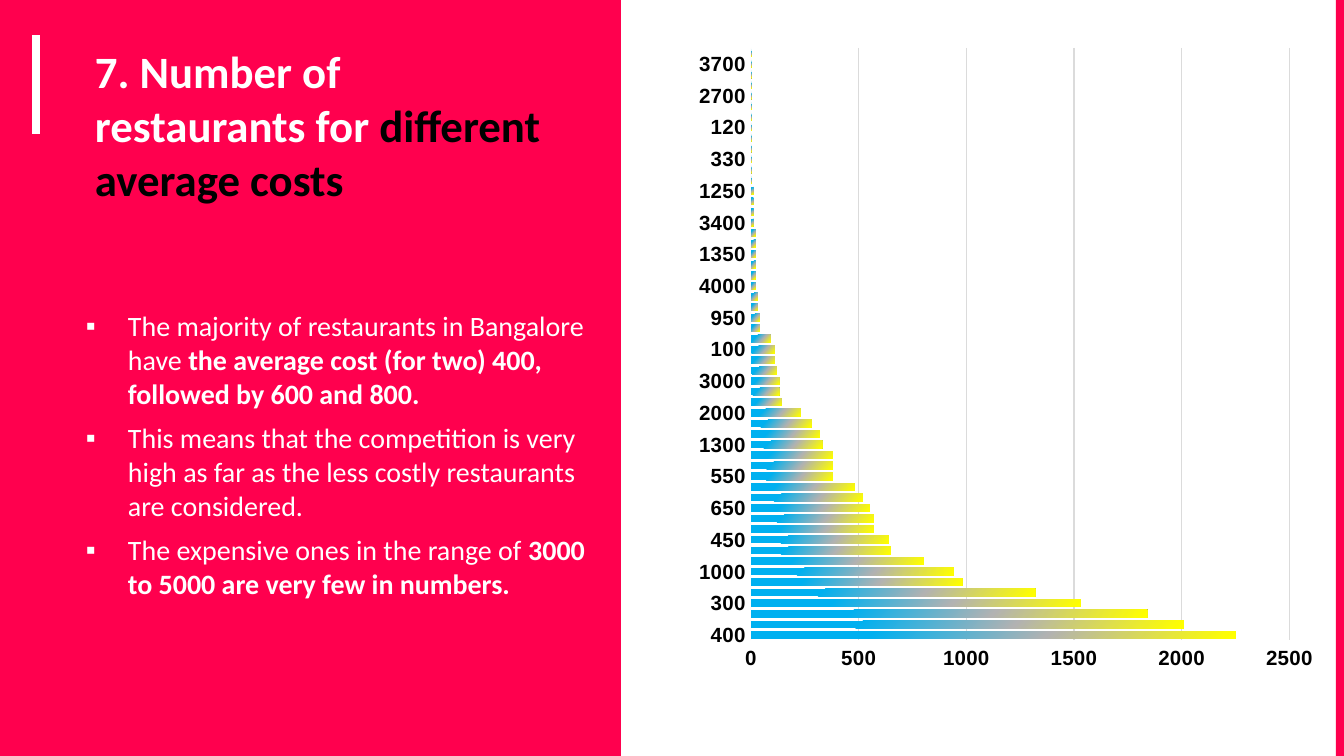
from copy import deepcopy

from lxml.etree import SubElement
from pptx import Presentation
from pptx.chart.data import CategoryChartData
from pptx.dml.color import RGBColor
from pptx.enum.chart import XL_CHART_TYPE, XL_TICK_MARK
from pptx.enum.shapes import MSO_SHAPE
from pptx.oxml import parse_xml
from pptx.oxml.ns import nsdecls, qn
from pptx.util import Emu, Pt

PIXEL = 6804  # EMU, for a slide 1344 px wide
WIDTH, HEIGHT = 1344, 756

RED = RGBColor(0xFF, 0x00, 0x4E)
WHITE = RGBColor(0xFF, 0xFF, 0xFF)
BLACK = RGBColor(0x00, 0x00, 0x00)
GRID_GRAY = RGBColor(0xDB, 0xDB, 0xDB)
AXIS_GRAY = RGBColor(0xFD, 0xFD, 0xFD)
BAR_GRADIENT = [
    (0.25, RGBColor(0x00, 0xB0, 0xF0)),
    (0.61, RGBColor(0xB2, 0xB2, 0xB2)),
    (0.99, RGBColor(0xFF, 0xFF, 0x00)),
]

COSTS = [
    400, 500, 600, 300, 800, 700, 1000, 200, 250, 450, 750, 1200, 650, 1500,
    350, 550, 900, 1100, 1300, 150, 1400, 2000, 1700, 1800, 3000, 1600, 850,
    100, 2500, 2100, 950, 1900, 2200, 4000, 3500, 2800, 1350, 180, 2400, 3400,
    230, 40, 1250, 4100, 1450, 330, 1050, 4500, 120, 6000, 3200, 2700, 5000,
    1650, 3700, 2300,
]
RESTAURANTS = [
    2250, 2010, 1840, 1530, 1320, 980, 940, 800, 650, 640, 570, 570, 550, 520,
    480, 380, 380, 380, 330, 320, 280, 230, 140, 130, 130, 120, 110, 110, 90,
    40, 40, 30, 30,
] + [20] * 6 + [10] * 4 + [0] * 13

TITLE = [
    ("7. Number of restaurants for ", {}),
    ("different average costs", {"color": BLACK}),
]
FINDINGS = [
    [
        ("The majority of restaurants in Bangalore have ", {}),
        ("the average cost (for two) 400, followed by 600 and 800.", {"bold": True}),
    ],
    [
        ("This means that the competition is very high as far as the less "
         "costly restaurants are considered.", {}),
    ],
    [
        ("The expensive ones in the range of ", {}),
        ("3000 to 5000 are very few in numbers.", {"bold": True}),
    ],
]


def px(length):
    return Emu(length * PIXEL)


def add_run(paragraph, text, *, size, color=WHITE, bold=False, font="Calibri"):
    run = paragraph.add_run()
    run.text = text
    run.font.size = Pt(size)
    run.font.name = font
    run.font.bold = bold
    run.font.color.rgb = color


def add_bullet(paragraph, indent):
    properties = paragraph._p.get_or_add_pPr()
    properties.set("marL", str(px(indent)))
    properties.set("indent", str(-px(indent)))
    color = SubElement(properties, qn("a:buClr"))
    SubElement(color, qn("a:srgbClr"), val=str(WHITE))
    SubElement(properties, qn("a:buFont"), typeface="Arial")
    SubElement(properties, qn("a:buChar"), char="▪")


class SlideBuilder:
    inset = 13
    bullet_indent = 42
    axis_font = "Arial"
    axis_size = 11

    def __init__(self, slide):
        self.slide = slide

    def rectangle(self, left, top, width, height, color):
        shape = self.slide.shapes.add_shape(
            MSO_SHAPE.RECTANGLE, px(left), px(top), px(width), px(height))
        shape.shadow.inherit = False
        shape.fill.solid()
        shape.fill.fore_color.rgb = color
        shape.line.fill.background()

    def text(self, left, top, width, height, paragraphs, *, bullets=False, **style):
        """Each paragraph is a list of (text, format) runs; style is their default."""
        frame = self.slide.shapes.add_textbox(
            px(left), px(top), px(width), px(height)).text_frame
        frame.word_wrap = True
        frame.margin_left = frame.margin_right = px(self.inset)
        frame.margin_top = frame.margin_bottom = px(self.inset)
        for index, runs in enumerate(paragraphs):
            paragraph = frame.add_paragraph() if index else frame.paragraphs[0]
            if index:
                paragraph.space_before = Pt(6)
            if bullets:
                add_bullet(paragraph, self.bullet_indent)
            for text, run_format in runs:
                add_run(paragraph, text, **{**style, **run_format})

    def style_axis(self, axis):
        axis.major_tick_mark = axis.minor_tick_mark = XL_TICK_MARK.NONE
        font = axis.tick_labels.font
        font.name = self.axis_font
        font.size = Pt(self.axis_size)
        font.bold = True
        font.color.rgb = BLACK

    def bar_chart(self, left, top, width, height, categories, values):
        data = CategoryChartData()
        data.categories = [str(category) for category in categories]
        data.add_series("Series 1", values)
        chart = self.slide.shapes.add_chart(
            XL_CHART_TYPE.BAR_CLUSTERED,
            px(left), px(top), px(width), px(height), data).chart
        chart.has_legend = False
        chart.has_title = False
        chart.font.name = self.axis_font
        chart.font.size = Pt(10)
        chart.font.color.rgb = BLACK

        plot = chart.plots[0]
        plot.gap_width = 40
        plot.vary_by_categories = False
        series = plot.series[0]
        fill = series.format.fill
        fill.gradient()
        fill.gradient_angle = 360 - 42
        stop_list = series._element.find(".//" + qn("a:gsLst"))
        stop_list.append(deepcopy(stop_list[0]))
        for stop, (position, color) in zip(fill.gradient_stops, BAR_GRADIENT):
            stop.position = position
            stop.color.rgb = color

        category_axis = chart.category_axis
        self.style_axis(category_axis)
        category_axis.has_major_gridlines = False
        category_axis.format.line.color.rgb = AXIS_GRAY
        category_axis.format.line.width = Pt(0.75)
        label_skip = parse_xml(f'<c:tickLblSkip {nsdecls("c")} val="3"/>')
        category_axis._element.find(qn("c:noMultiLvlLbl")).addprevious(label_skip)

        value_axis = chart.value_axis
        self.style_axis(value_axis)
        value_axis.minimum_scale, value_axis.maximum_scale = 0, 2500
        value_axis.major_unit = 500
        value_axis.format.line.fill.background()
        value_axis.has_major_gridlines = True
        gridline = value_axis.major_gridlines.format.line
        gridline.color.rgb = GRID_GRAY
        gridline.width = Pt(0.75)
        self.place_plot(chart, x=0.1, y=0.02, w=0.84, h=0.92)

    @staticmethod
    def place_plot(chart, **fractions):
        """Fix the inner plot area as fractions of the chart's size."""
        plot_area = chart._chartSpace.chart.plotArea
        for layout in plot_area.findall(qn("c:layout")):
            plot_area.remove(layout)
        layout = parse_xml(f'<c:layout {nsdecls("c")}/>')
        manual = SubElement(layout, qn("c:manualLayout"))
        SubElement(manual, qn("c:layoutTarget"), val="inner")
        for side in "xy":
            SubElement(manual, qn(f"c:{side}Mode"), val="edge")
        for name, fraction in fractions.items():
            SubElement(manual, qn(f"c:{name}"), val=str(fraction))
        plot_area.insert(0, layout)


def main():
    presentation = Presentation()
    presentation.slide_width, presentation.slide_height = px(WIDTH), px(HEIGHT)
    builder = SlideBuilder(presentation.slides.add_slide(presentation.slide_layouts[6]))
    builder.rectangle(0, 0, 621, HEIGHT, RED)
    builder.rectangle(32, 35, 8, 99, WHITE)
    builder.rectangle(WIDTH - 8, 0, 8, HEIGHT, RED)
    builder.text(82, 31, 475, 126, [TITLE], size=24, bold=True)
    builder.text(73, 296, 536, 429, FINDINGS, bullets=True, size=15)
    builder.bar_chart(687, 35, 641, 644, COSTS, RESTAURANTS)
    presentation.save("out.pptx")


if __name__ == "__main__":
    main()
